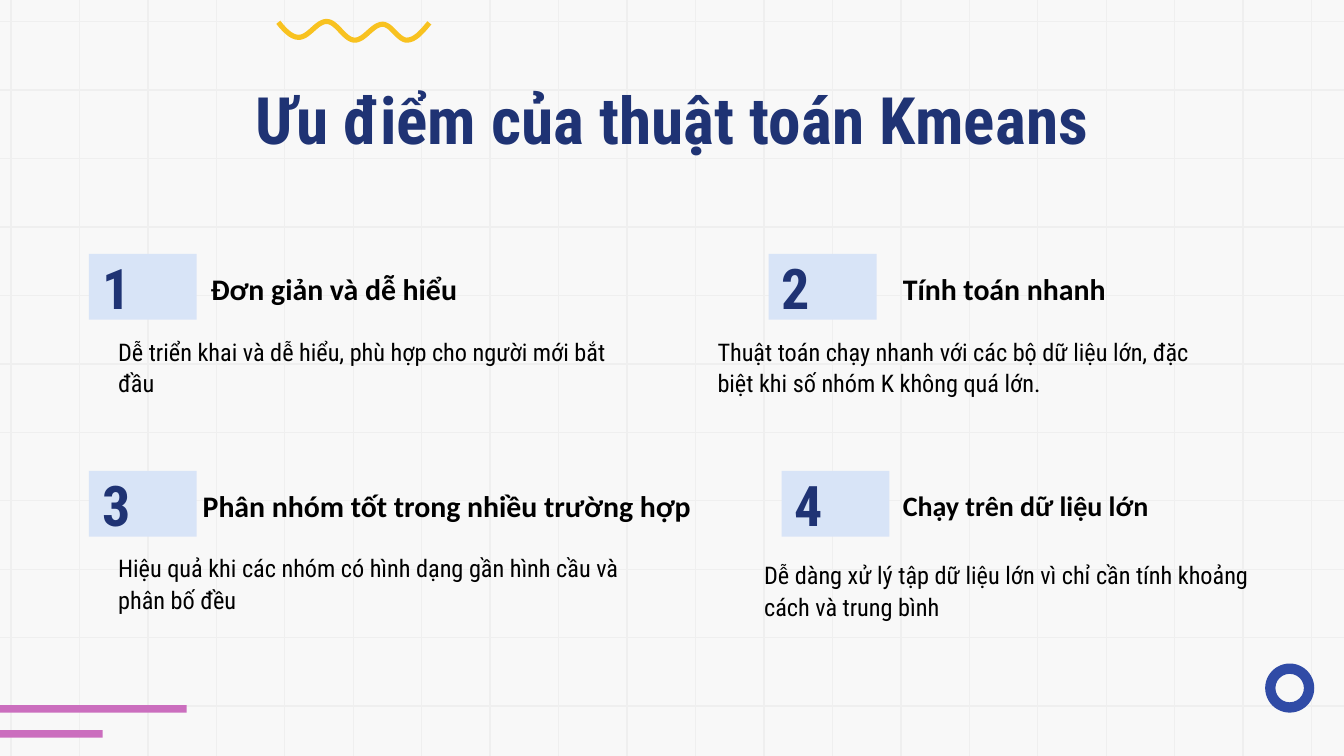
import math
from lxml import etree
from pptx import Presentation
from pptx.dml.color import RGBColor
from pptx.enum import shapes as kinds, text as txt
from pptx.oxml import ns
from pptx.util import Pt

PAPER = RGBColor(0xF8, 0xF8, 0xF8)
GRID = RGBColor(0xEF, 0xEF, 0xEF)
PINK = RGBColor(0xCB, 0x6E, 0xBE)
BLUE = RGBColor(0x30, 0x4B, 0xA6)
GOLD = RGBColor(0xF8, 0xC2, 0x20)
NAVY = RGBColor(0x1F, 0x33, 0x74)
PALE = RGBColor(0xD8, 0xE4, 0xF7)
BLACK = RGBColor(0, 0, 0)
ROBOTO = "Roboto Condensed"
WIDE, HIGH = 720, 405
STEP = 36.67
MID = txt.MSO_ANCHOR.MIDDLE
TOP = txt.MSO_ANCHOR.TOP

CARDS = [
    ("Đơn giản và dễ hiểu",
     "Dễ triển khai và dễ hiểu, phù hợp cho người mới bắt đầu",
     (47.6, 136), (105.8, 227.5), (56.2, 172), 16),
    ("Tính toán nhanh",
     "Thuật toán chạy nhanh với các bộ dữ liệu lớn, đặc biệt khi số nhóm K không quá lớn.",
     (411.8, 136), (476.6, 227.5), (377.3, 172), 16),
    ("Phân nhóm tốt trong nhiều trường hợp",
     "Hiệu quả khi các nhóm có hình dạng gần hình cầu và phân bố đều",
     (47.6, 252.2), (101.5, 286), (56.2, 288), 16),
    ("Chạy trên dữ liệu lớn",
     "Dễ dàng xử lý tập dữ liệu lớn vì chỉ cần tính khoảng cách và trung bình",
     (418.7, 252.2), (476.6, 232), (402.3, 291.8), 15),
]
WAVE = [(135, 0), (160, 20), (175, 11.5), (190, 21.5), (205, 13), (218, 21.5), (242, 3)]


def apply(item, values):
    for name, value in values.items():
        setattr(item, name, value)


def place(shape, left, top, width, height):
    apply(shape, {"left": Pt(left), "top": Pt(top),
                  "width": Pt(width), "height": Pt(height)})


def write(shape, words, size, color, face=ROBOTO, bold=False, anchor=TOP, para=None):
    frame = shape.text_frame
    frame.text = words
    apply(frame, {"word_wrap": True, "auto_size": txt.MSO_AUTO_SIZE.NONE,
                  "vertical_anchor": anchor})
    apply(frame, {f"margin_{side}": Pt(7.2) for side in ("left", "top", "right", "bottom")})
    line = frame.paragraphs[0]
    apply(line, {"alignment": txt.PP_ALIGN.LEFT, **(para or {})})
    font = line.runs[0].font
    apply(font, {"name": face, "size": Pt(size), "bold": bold})
    font.color.rgb = color


def rule(slide, x1, y1, x2, y2):
    line = slide.shapes.add_connector(
        kinds.MSO_CONNECTOR.STRAIGHT, Pt(x1), Pt(y1), Pt(x2), Pt(y2))
    line.line.color.rgb = GRID
    line.line.width = Pt(0.75)
    etree.SubElement(line.element.spPr, ns.qn("a:effectLst"))


def block(slide, kind, box, color):
    shape = slide.shapes.add_shape(kind, *map(Pt, box))
    shape.shadow.inherit = False
    shape.fill.solid()
    shape.fill.fore_color.rgb = color
    shape.line.fill.background()
    return shape


def wave(slide):
    dots = []
    for (x1, y1), (x2, y2) in zip(WAVE, WAVE[1:]):
        for i in range(16):
            x = x1 + (x2 - x1) * i / 16
            y = y1 + (y2 - y1) * (1 - math.cos(math.pi * i / 16)) / 2
            if 148 <= x <= 231:
                dots.append((Pt(x), Pt(y)))
    build = slide.shapes.build_freeform(*dots[0])
    build.add_line_segments(dots[1:], close=False)
    shape = build.convert_to_shape()
    shape.shadow.inherit = False
    shape.fill.background()
    shape.line.color.rgb = GOLD
    shape.line.width = Pt(2.75)


def decor(slide):
    for i in range(11):
        rule(slide, 0, 11.6 + i * STEP, WIDE, 11.6 + i * STEP)
    for i in range(20):
        rule(slide, 5.9 + i * STEP, 0, 5.9 + i * STEP, HIGH)
    for top, width in ((377.8, 100), (391.2, 55)):
        block(slide, kinds.MSO_SHAPE.RECTANGLE, (0, top, width, 4), PINK)
    ring = block(slide, kinds.MSO_SHAPE.DONUT, (677.8, 355.5, 26.3, 26.3), BLUE)
    ring.adjustments[0] = 0.21
    wave(slide)


def label(slide, box, words, **style):
    shape = slide.shapes.add_textbox(*map(Pt, box))
    para = {"line_spacing": 1.08, "space_before": Pt(12), "space_after": Pt(12)}
    write(shape, words, color=BLACK, para=para, **style)


def card(slide, count, head, body, badge, spot, note, size):
    tile = block(slide, kinds.MSO_SHAPE.RECTANGLE, (*badge, 57.8, 35.3), PALE)
    write(tile, str(count), 30, NAVY, bold=True, anchor=MID)
    left, width = spot
    label(slide, (left, badge[1], width, 35.3), head,
          size=size, face="Calibri", bold=True, anchor=MID)
    label(slide, (*note, 286, 28.8), body, size=13)


def main():
    deck = Presentation()
    apply(deck, {"slide_width": Pt(WIDE), "slide_height": Pt(HIGH)})
    slide = deck.slides.add_slide(deck.slide_layouts[5])
    slide.background.fill.solid()
    slide.background.fill.fore_color.rgb = PAPER
    decor(slide)
    title = slide.shapes.title
    place(title, 56.6, 35.4, 607, 45.2)
    write(title, "Ưu điểm của thuật toán Kmeans", 35, NAVY, bold=True,
          para={"alignment": txt.PP_ALIGN.CENTER})
    title.element.getparent().append(title.element)
    for count, parts in enumerate(CARDS, 1):
        card(slide, count, *parts)
    deck.save("out.pptx")


if __name__ == "__main__":
    main()
